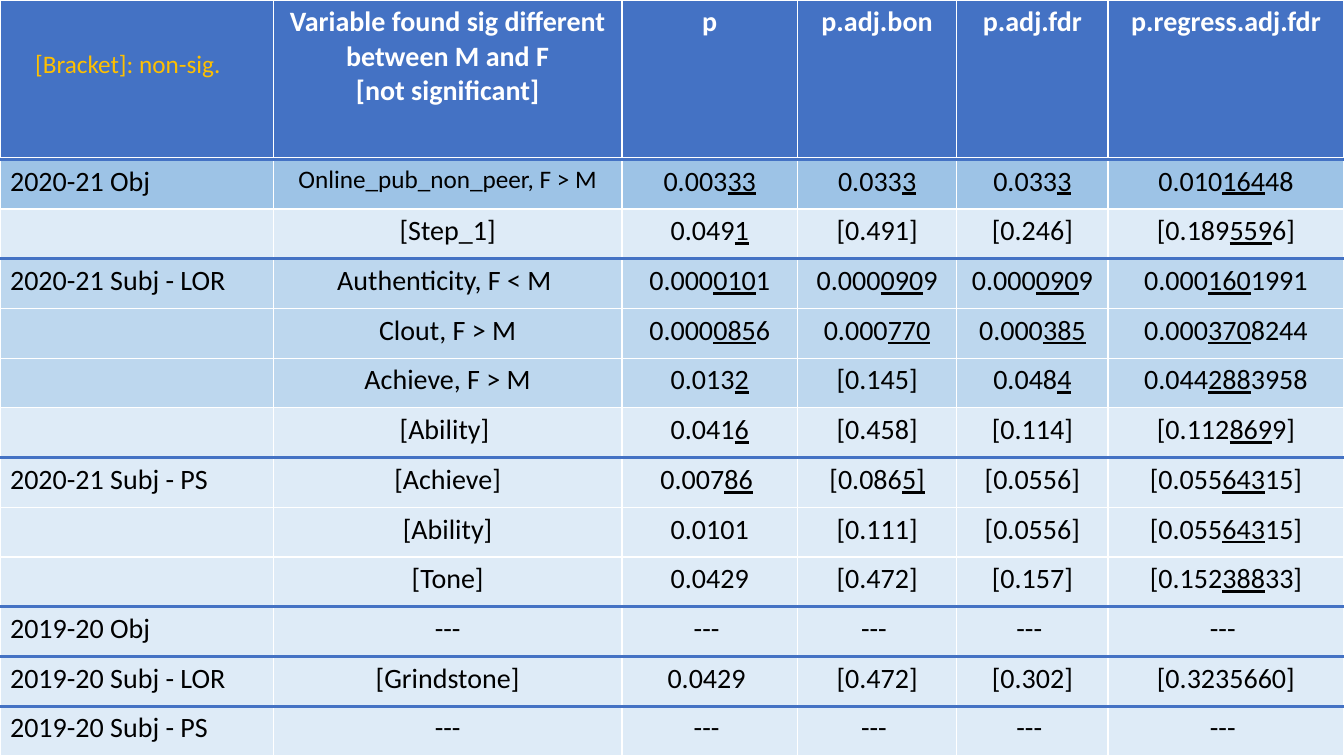
from lxml.etree import SubElement
from pptx import Presentation
from pptx.dml.color import RGBColor
from pptx.enum.shapes import MSO_CONNECTOR
from pptx.enum.text import MSO_AUTO_SIZE, PP_ALIGN
from pptx.oxml import parse_xml
from pptx.oxml.ns import nsdecls, qn
from pptx.util import Inches, Pt

WIDTH, HEIGHT = 13.33, 7.5
HEADER_HEIGHT = 1.58
COLUMN_WIDTHS = [2.71, 3.46, 1.74, 1.58, 1.5, 2.34]
BLUE, STRONG, MEDIUM, PALE = "4472C4", "9DC3E6", "BDD7EE", "DEEBF7"

HEADERS = ["", "Variable found sig different between M and F\n[not significant]",
           "p", "p.adj.bon", "p.adj.fdr", "p.regress.adj.fdr"]

# Each group: label, then rows of (fill, cells); bars enclose underlined digits
GROUPS = [
    ("2020-21 Obj", [
        (STRONG, ["Online_pub_non_peer, F > M", "0.003|33|", "0.033|3|", "0.033|3|",
                  "0.010|164|48"]),
        (PALE, ["[Step_1]", "0.049|1|", "[0.491]", "[0.246]", "[0.189|559|6]"]),
    ]),
    ("2020-21 Subj - LOR", [
        (MEDIUM, ["Authenticity, F < M ", "0.000|010|1", "0.000|090|9", "0.000|090|9",
                  "0.000|160|1991"]),
        (MEDIUM, ["Clout, F > M", "0.000|085|6", "0.000|770|", "0.000|385|",
                  "0.000|370|8244"]),
        (MEDIUM, ["Achieve, F > M", "0.013|2|", "[0.145]", "0.048|4|", "0.044|288|3958"]),
        (PALE, ["[Ability] ", "0.041|6|", "[0.458]", "[0.114]", "[0.112|869|9]"]),
    ]),
    ("2020-21 Subj - PS", [
        (PALE, ["[Achieve]", "0.007|86| ", "[0.086|5]|", "[0.0556]", "[0.055|643|15]"]),
        (PALE, ["[Ability]", "0.0101", "[0.111]", "[0.0556]", "[0.055|643|15]"]),
        (PALE, ["[Tone]", "0.0429", "[0.472]", "[0.157]", "[0.152|388|33]"]),
    ]),
    ("2019-20 Obj", [(PALE, ["---"] + ["--- "] * 4)]),
    ("2019-20 Subj - LOR", [
        (PALE, ["[Grindstone]", "0.0429 ", "[0.472]", "[0.302]", "[0.3235660]"]),
    ]),
    ("2019-20 Subj - PS", [(PALE, ["---"] + ["--- "] * 4)]),
]
ROW_COUNT = sum(len(rows) for label, rows in GROUPS)
ROW_HEIGHT = (HEIGHT - HEADER_HEIGHT) / ROW_COUNT


def color(value):
    return RGBColor.from_string(value)


def write_text(text_frame, text, size=20, fill="000000", bold=False, align=PP_ALIGN.LEFT):
    for index, line in enumerate(text.split("\n")):
        paragraph = text_frame.paragraphs[0] if index == 0 else text_frame.add_paragraph()
        paragraph.alignment = align
        for position, part in enumerate(line.split("|")):
            if not part:
                continue
            run = paragraph.add_run()
            run.text = part
            run.font.name = "Calibri"
            run.font.size = Pt(size)
            run.font.bold = bold
            run.font.underline = position % 2 == 1
            run.font.color.rgb = color(fill)


def format_cell(cell, fill, bottom=1):
    cell.fill.solid()
    cell.fill.fore_color.rgb = color(fill)
    properties = cell._tc.get_or_add_tcPr()
    for index, (side, width) in enumerate([("L", 1), ("R", 1), ("T", 1), ("B", bottom)]):
        properties.insert(index, parse_xml(
            f'<a:ln{side} {nsdecls("a")} w="{Pt(width)}"><a:solidFill>'
            f'<a:srgbClr val="FFFFFF"/></a:solidFill></a:ln{side}>'))


def add_results_table(slide, left, top, width, height):
    frame = slide.shapes.add_table(ROW_COUNT + 1, len(COLUMN_WIDTHS), Inches(left),
                                   Inches(top), Inches(width), Inches(height))
    table = frame.table
    table.horz_banding = False
    for column, column_width in zip(table.columns, COLUMN_WIDTHS):
        column.width = Inches(column_width)
    for index, row in enumerate(table.rows):
        row.height = Inches(ROW_HEIGHT if index else HEADER_HEIGHT)

    # Header row
    for cell, text in zip(table.rows[0].cells, HEADERS):
        format_cell(cell, BLUE, bottom=3)
        write_text(cell.text_frame, text, fill="FFFFFF", bold=True, align=PP_ALIGN.CENTER)

    # Result rows
    results = [([label if index == 0 else ""] + values, fill)
               for label, rows in GROUPS for index, (fill, values) in enumerate(rows)]
    for row_index, (values, fill) in enumerate(results, start=1):
        for column_index, text in enumerate(values):
            cell = table.cell(row_index, column_index)
            format_cell(cell, fill)
            write_text(cell.text_frame, text,
                       size=18 if text.startswith("Online") else 20,
                       align=PP_ALIGN.CENTER if column_index else PP_ALIGN.LEFT)


def add_bracket_note(slide, left, top, width, height):
    box = slide.shapes.add_textbox(Inches(left), Inches(top), Inches(width), Inches(height))
    box.text_frame.word_wrap = True
    box.text_frame.auto_size = MSO_AUTO_SIZE.SHAPE_TO_FIT_TEXT
    write_text(box.text_frame, "[Bracket]: non-sig.", size=18, fill="FFC000")


def add_group_dividers(slide, left, top, width):
    y = top + HEADER_HEIGHT
    for label, rows in GROUPS:
        divider = slide.shapes.add_connector(MSO_CONNECTOR.STRAIGHT, Inches(left), Inches(y),
                                             Inches(left + width), Inches(y))
        divider.line.color.rgb = color(BLUE)
        divider.line.width = Pt(2.25)
        SubElement(divider._element.spPr, qn("a:effectLst"))
        y += ROW_HEIGHT * len(rows)


def main():
    presentation = Presentation()
    presentation.slide_width = Inches(WIDTH)
    presentation.slide_height = Inches(HEIGHT)
    slide = presentation.slides.add_slide(presentation.slide_layouts[6])
    add_results_table(slide, 0, 0, WIDTH, HEIGHT)
    add_bracket_note(slide, 0.25, 0.43, 2.29, 0.4)
    add_group_dividers(slide, 0, 0, WIDTH)
    presentation.save("out.pptx")


if __name__ == "__main__":
    main()
